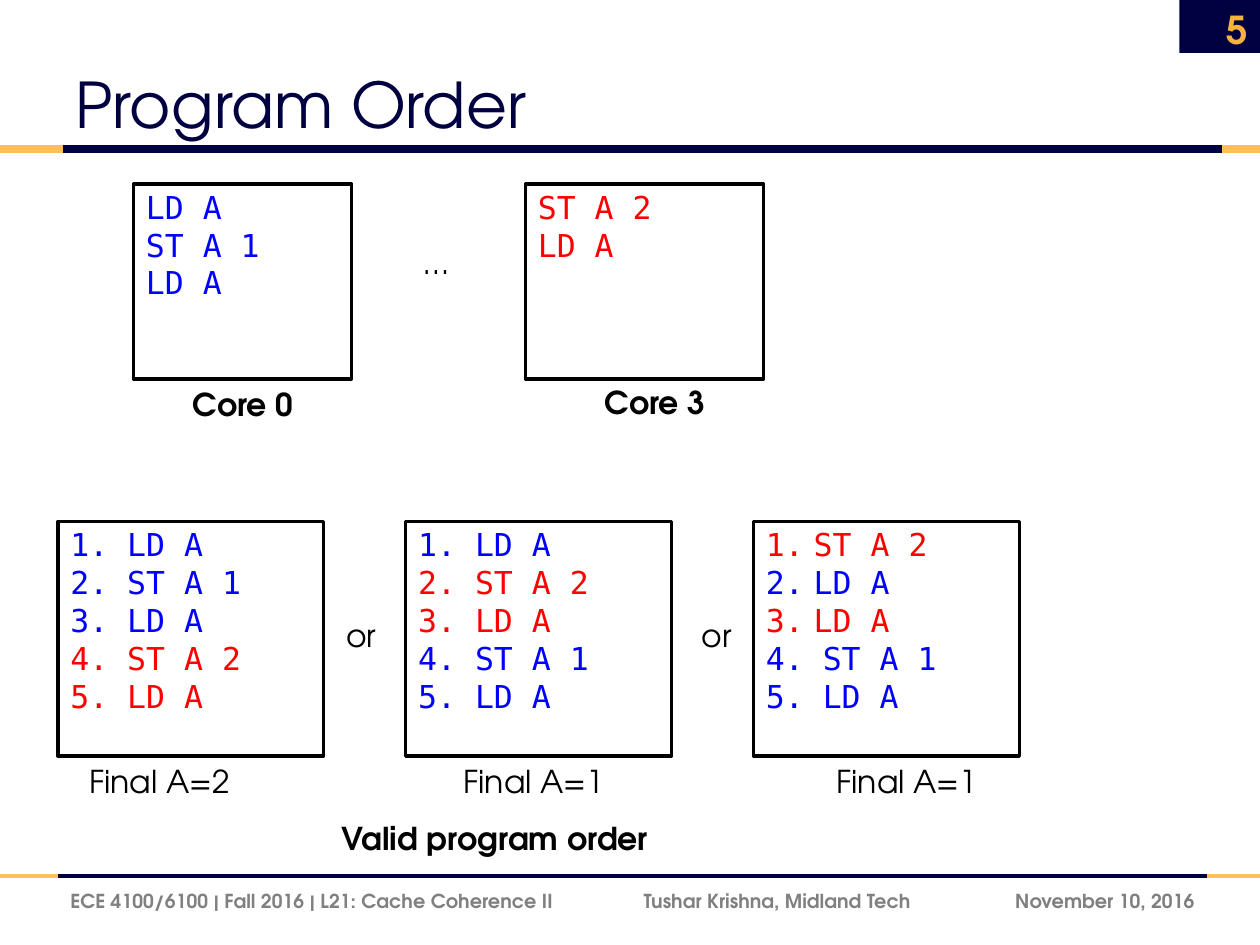
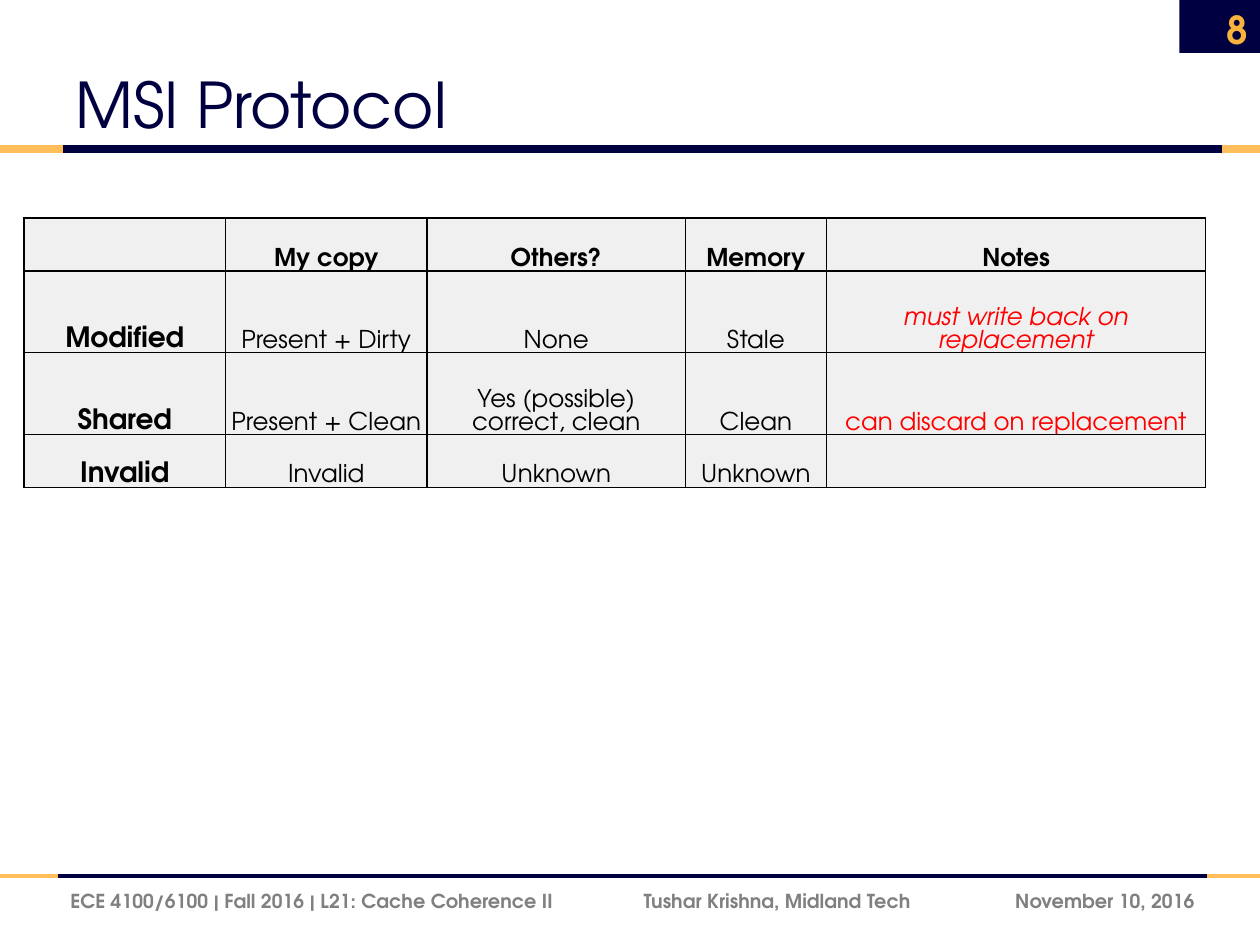
from lxml import etree
from pptx import Presentation
from pptx.dml.color import RGBColor
from pptx.enum.shapes import MSO_CONNECTOR, MSO_SHAPE
from pptx.enum.text import MSO_ANCHOR, MSO_AUTO_SIZE, PP_ALIGN
from pptx.oxml.ns import qn
from pptx.util import Inches, Pt

LEFT, CENTER, RIGHT = PP_ALIGN.LEFT, PP_ALIGN.CENTER, PP_ALIGN.RIGHT
TOP, MIDDLE, BOTTOM = MSO_ANCHOR.TOP, MSO_ANCHOR.MIDDLE, MSO_ANCHOR.BOTTOM
RECTANGLE, STRAIGHT = MSO_SHAPE.RECTANGLE, MSO_CONNECTOR.STRAIGHT
NO_AUTOFIT = MSO_AUTO_SIZE.NONE

COLORS = {
    "navy": "000041", "gold": "FFBE5A", "number": "F8B33C",
    "footer": "808080", "date": "7F7F7F", "black": "000000",
    "white": "FFFFFF", "cell": "F0F0F0", "core0": "0000FF",
    "core3": "FF0000", "note": "FF0000",
}
SANS, MONO = "TeX Gyre Adventor", "DejaVu Sans Mono"
SLIDE_WIDTH, SLIDE_HEIGHT = 10, 7.5
TITLE_RULE_Y, FOOTER_RULE_Y = 1.18, 6.95


def rgb(name):
    """Return the named colour."""
    return RGBColor.from_string(COLORS[name])


def style(paragraph, size, color="black", bold=False, italic=False,
          font=SANS, align=LEFT):
    """Format a whole paragraph."""
    paragraph.alignment = align
    paragraph.font.name = font
    paragraph.font.size = Pt(size)
    paragraph.font.bold = bold
    paragraph.font.italic = italic
    paragraph.font.color.rgb = rgb(color)


def add_text(slide, box, text, size=18, anchor=TOP, **formatting):
    """Add one line of text in box (left, top, width, height)."""
    shape = slide.shapes.add_textbox(*map(Inches, box))
    frame = shape.text_frame
    frame.word_wrap = True
    frame.vertical_anchor = anchor
    paragraph = frame.paragraphs[0]
    paragraph.text = text
    style(paragraph, size, **formatting)
    return paragraph


def add_rectangle(slide, box, fill):
    """Add a filled rectangle without line or shadow."""
    shape = slide.shapes.add_shape(RECTANGLE, *map(Inches, box))
    shape.shadow.inherit = False
    shape.fill.solid()
    shape.fill.fore_color.rgb = rgb(fill)
    shape.line.fill.background()
    return shape


def add_rule(slide, y, start, end, width):
    """Draw a full-width rule: navy from start to end, gold on both sides."""
    segments = [(start, end, "navy"), (0, start, "gold"),
                (end, SLIDE_WIDTH, "gold")]
    for left, right, color in segments:
        line = slide.shapes.add_connector(
            STRAIGHT, Inches(left), Inches(y), Inches(right), Inches(y))
        line.line.color.rgb = rgb(color)
        line.line.width = Pt(width)
        etree.SubElement(line._element.spPr, qn("a:effectLst"))


def add_footer(slide, box):
    """Write the course, lecturer and date in the footer box."""
    left, top, width, height = box
    paragraph = add_text(
        slide, (left, top, 7.43, height),
        "ECE 4100/6100 | Fall 2016 | L21: Cache Coherence II\t"
        "Tushar Krishna, Midland Tech",
        11, MIDDLE, color="footer", bold=True)
    tabs = etree.SubElement(paragraph._p.get_or_add_pPr(), qn("a:tabLst"))
    etree.SubElement(tabs, qn("a:tab"), pos=str(Inches(4.55)), algn="l")
    add_text(slide, (left + width - 1.92, top, 1.92, height),
             "November 10, 2016", 11, MIDDLE,
             color="date", bold=True, align=RIGHT)


def add_base_slide(presentation, title, number):
    """Add a slide with the shared title, rules, footer and page number."""
    slide = presentation.slides.add_slide(presentation.slide_layouts[5])
    add_rectangle(slide, (9.36, 0, 0.64, 0.42), "navy")
    add_rule(slide, FOOTER_RULE_Y, 0.46, 9.58, 2.25)
    add_rule(slide, TITLE_RULE_Y, 0.5, 9.7, 4.5)

    shape = slide.shapes.title
    shape.left, shape.top = Inches(0.5), Inches(0.17)
    shape.width, shape.height = Inches(8.18), Inches(1)
    frame = shape.text_frame
    frame.text = title
    frame.auto_size = NO_AUTOFIT
    frame.vertical_anchor = BOTTOM
    style(frame.paragraphs[0], 36, "navy")

    add_footer(slide, (0.46, FOOTER_RULE_Y, 9.12, 0.4))
    add_text(slide, (9.34, 0.03, 0.66, 0.4), str(number), 22, MIDDLE,
             color="number", bold=True, align=RIGHT)
    return slide


def add_code_box(slide, box, steps, numbered=False, list_items=0):
    """List (core, instruction) steps; the first list_items use list numbers."""
    shape = add_rectangle(slide, box, "white")
    shape.line.color.rgb = rgb("black")
    shape.line.width = Pt(2)
    frame = shape.text_frame
    frame.word_wrap = True
    frame.vertical_anchor = TOP
    frame.margin_top = Inches(0.03)
    for index, (core, instruction) in enumerate(steps, start=1):
        paragraph = (frame.paragraphs[0] if index == 1
                     else frame.add_paragraph())
        in_list = index <= list_items
        typed_number = numbered and not in_list
        paragraph.text = (f"{index}. {instruction}" if typed_number
                          else instruction)
        style(paragraph, 18, core, font=MONO)
        if in_list:
            properties = paragraph._p.get_or_add_pPr()
            properties.set("marL", str(Inches(0.38)))
            properties.set("indent", str(-Inches(0.38)))
            etree.SubElement(properties, qn("a:buFont"), typeface=MONO)
            etree.SubElement(properties, qn("a:buAutoNum"),
                             type="arabicPeriod")


def add_cores(slide, box):
    """Show the program of each core with its label."""
    left, top, width, height = box
    core0 = [("core0", text) for text in ("LD A", "ST A 1", "LD A")]
    core3 = [("core3", text) for text in ("ST A 2", "LD A")]
    right_width = 1.89
    right = left + width - right_width
    bottom = top + height
    add_code_box(slide, (left, top, 1.73, height), core0)
    add_code_box(slide, (right, top, right_width, height), core3)
    add_text(slide, (left + 0.37, bottom, 1.36, 0.4), "Core 0", bold=True)
    add_text(slide, (right + 0.53, bottom - 0.02, 1.36, 0.4), "Core 3",
             bold=True)
    add_text(slide, (left + 2.2, top + 0.42, 0.81, 0.4), "…")


def add_orders(slide, box):
    """Show the three valid interleavings with their final values."""
    left, top, width, height = box
    panel_width = 2.11
    pitch = (width - panel_width) / 2
    load0, store0 = ("core0", "LD A"), ("core0", "ST A 1")
    load3, store3 = ("core3", "LD A"), ("core3", "ST A 2")
    # steps, list-numbered steps, final value, caption offset, "or" offset
    orders = [
        ([load0, store0, load0, store3, load3], 0, 2, 0.15, None),
        ([load0, store3, load3, store0, load0], 0, 1, 0.36, -0.57),
        ([store3, load0, load3, store0, load0], 3, 1, 0.56, -0.51),
    ]
    for index, order in enumerate(orders):
        steps, list_items, value, caption_offset, or_offset = order
        x = left + index * pitch
        add_code_box(slide, (x, top, panel_width, height), steps,
                     numbered=True, list_items=list_items)
        add_text(slide, (x + caption_offset, top + height, 1.8, 0.4),
                 f"Final A={value}")
        if or_offset is not None:
            add_text(slide, (x + or_offset, top + 0.7, 0.5, 0.4), "or")
    add_text(slide, (left + 2.15, top + height + 0.45, 2.77, 0.4),
             "Valid program order", bold=True)


def format_cell(cell):
    """Give a cell its fill, margins and thin black borders."""
    cell.fill.solid()
    cell.fill.fore_color.rgb = rgb("cell")
    cell.vertical_anchor = BOTTOM
    cell.margin_left = cell.margin_right = cell.margin_top = Inches(0.01)
    cell.margin_bottom = 0
    properties = cell._tc.get_or_add_tcPr()
    for index, side in enumerate(("lnL", "lnR", "lnT", "lnB")):
        border = etree.Element(qn(f"a:{side}"), w=str(Pt(1)))
        fill = etree.SubElement(border, qn("a:solidFill"))
        etree.SubElement(fill, qn("a:srgbClr"), val=COLORS["black"])
        properties.insert(index, border)


def add_state_table(slide, box):
    """Add the table of MSI states."""
    rows = [
        ["", "My copy", "Others?", "Memory", "Notes"],
        ["Modified", "Present + Dirty", "None", "Stale",
         "must write back on replacement"],
        ["Shared", "Present + Clean", "Yes (possible) correct, clean",
         "Clean", "can discard on replacement"],
        ["Invalid", "Invalid", "Unknown", "Unknown", ""],
    ]
    widths = [1.6, 1.6, 2.05, 1.12, 3.01]
    heights = [0.42, 0.65, 0.65, 0.42]
    table = slide.shapes.add_table(
        len(rows), len(widths), *map(Inches, box)).table
    table.first_row = table.horz_banding = False
    for column, width in zip(table.columns, widths):
        column.width = Inches(width)
    for row, height in zip(table.rows, heights):
        row.height = Inches(height)
    for row_index, texts in enumerate(rows):
        for column_index, text in enumerate(texts):
            cell = table.cell(row_index, column_index)
            format_cell(cell)
            cell.text = text
            header, state = row_index == 0, column_index == 0
            note = column_index == len(widths) - 1 and not header
            style(cell.text_frame.paragraphs[0], 16 if state else 14,
                  "note" if note else "black", bold=header or state,
                  italic=note and row_index == 1, align=CENTER)


def build_program_order(presentation):
    """Build the slide on program order."""
    slide = add_base_slide(presentation, "Program Order", 5)
    add_cores(slide, (1.06, 1.46, 5, 1.55))
    add_orders(slide, (0.46, 4.14, 7.63, 1.86))


def build_msi_protocol(presentation):
    """Build the slide on the MSI protocol."""
    slide = add_base_slide(presentation, "MSI Protocol", 8)
    add_state_table(slide, (0.19, 1.73, 9.38, 2.14))


def main():
    """Build and save the presentation."""
    presentation = Presentation()
    presentation.slide_width = Inches(SLIDE_WIDTH)
    presentation.slide_height = Inches(SLIDE_HEIGHT)
    build_program_order(presentation)
    build_msi_protocol(presentation)
    presentation.save("out.pptx")


main()
